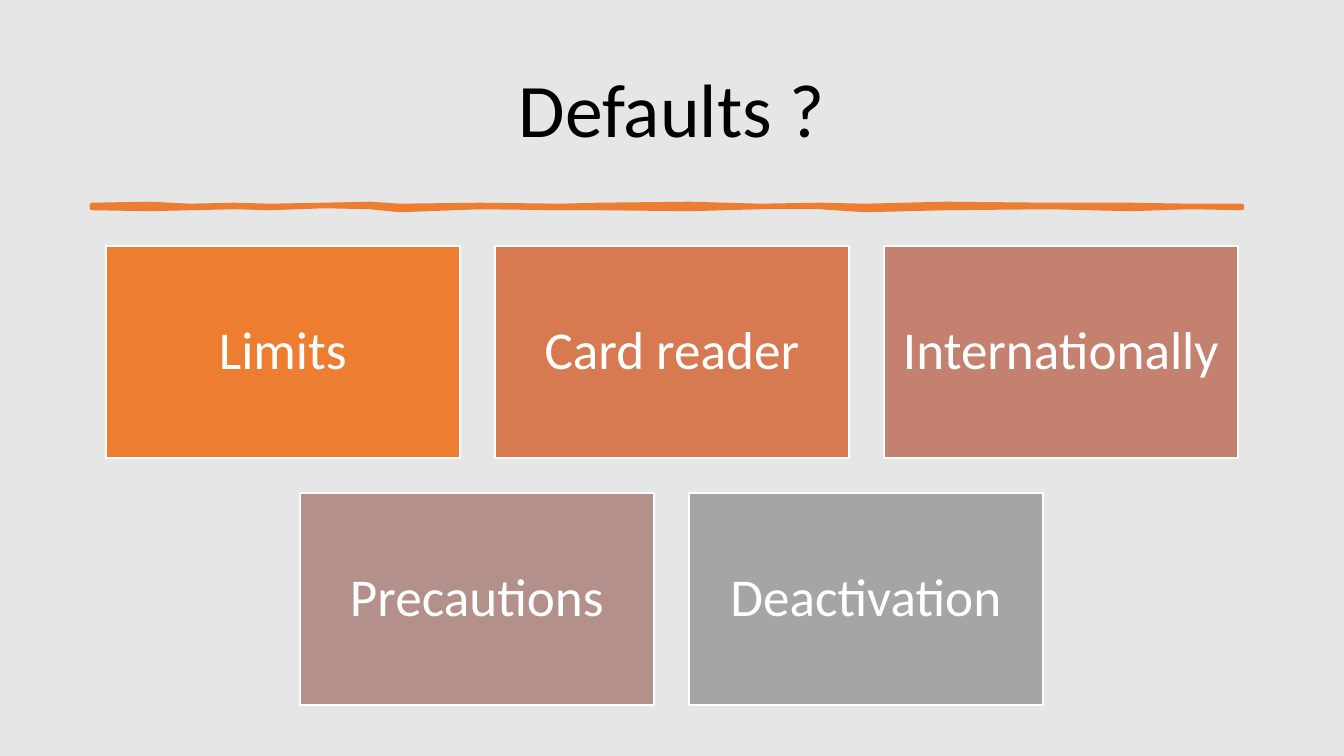
from dataclasses import dataclass

from lxml.etree import SubElement
from pptx import Presentation
from pptx.dml.color import RGBColor
from pptx.enum.shapes import MSO_SHAPE
from pptx.enum.text import MSO_ANCHOR, PP_ALIGN
from pptx.oxml.ns import qn
from pptx.util import Emu, Pt

SLIDE_W, SLIDE_H = 1344, 756
EMU_PER_PX = 12192000 / SLIDE_W


@dataclass(frozen=True)
class Theme:
    font: str = "Calibri"
    background: str = "E7E6E6"
    title: str = "000000"
    accent: str = "ED7D31"
    white: str = "FFFFFF"
    cards: tuple = ("ED7D31", "D87A51", "C48170", "B4908B", "A5A5A5")
    title_size: int = 54
    card_size: int = 38
    rule_width: float = 3.25
    card_border: int = 1


def px(n):
    return Emu(round(n * EMU_PER_PX))


def rgb(color):
    return RGBColor.from_string(color)


class SlideBuilder:
    def __init__(self, prs, theme):
        self.theme = theme
        self.s = prs.slides.add_slide(prs.slide_layouts[6])
        fill = self.s.background.fill
        fill.solid()
        fill.fore_color.rgb = rgb(theme.background)

    def paint(self, sp, fill, line, width):
        sp.shadow.inherit = False
        sp.fill.solid()
        sp.fill.fore_color.rgb = rgb(fill)
        sp.line.color.rgb = rgb(line)
        sp.line.width = Pt(width)

    def add_text(self, sp, text, size, color, inset_x, inset_y):
        tf = sp.text_frame
        tf.word_wrap = True
        tf.vertical_anchor = MSO_ANCHOR.MIDDLE
        tf.margin_left = tf.margin_right = px(inset_x)
        tf.margin_top = tf.margin_bottom = px(inset_y)
        p = tf.paragraphs[0]
        p.alignment = PP_ALIGN.CENTER
        p.line_spacing = 0.9
        r = p.add_run()
        r.text = text
        r.font.name = self.theme.font
        r.font.size = Pt(size)
        r.font.color.rgb = rgb(color)

    def title(self, text, x, y, w, h):
        sp = self.s.shapes.add_textbox(px(x), px(y), px(w), px(h))
        self.add_text(sp, text, self.theme.title_size, self.theme.title, 10, 5)

    def brush_rule(self, edges):
        top = [(x, y) for x, y, _ in edges]
        bottom = [(x, y) for x, _, y in reversed(edges)]
        start, *rest = top + bottom
        fb = self.s.shapes.build_freeform(*start, scale=EMU_PER_PX)
        fb.add_line_segments(rest, close=True)
        sp = fb.convert_to_shape()
        self.paint(sp, self.theme.accent, self.theme.accent, self.theme.rule_width)
        SubElement(sp.element.spPr.find(qn("a:ln")), qn("a:round"))

    def card(self, text, color, x, y, w, h):
        sp = self.s.shapes.add_shape(MSO_SHAPE.RECTANGLE, px(x), px(y), px(w), px(h))
        self.paint(sp, color, self.theme.white, self.theme.card_border)
        self.add_text(sp, text, self.theme.card_size, self.theme.white, 16, 16)


def main():
    prs = Presentation()
    prs.slide_width, prs.slide_height = px(SLIDE_W), px(SLIDE_H)
    theme = Theme()
    slide = SlideBuilder(prs, theme)

    # Title
    slide.title("Defaults ?", 92, 40, 1159, 146)

    # Hand-drawn rule: x, upper edge, lower edge
    slide.brush_rule([
        (92, 205, 208), (150, 204, 209), (190, 206, 208), (235, 205, 207),
        (270, 206, 208), (325, 205, 206), (370, 204, 207), (400, 206, 210),
        (480, 205, 207), (560, 206, 208), (600, 205, 208), (690, 204, 209),
        (760, 206, 207), (820, 205, 207), (865, 206, 210), (945, 204, 208),
        (1050, 205, 207), (1130, 205, 209), (1190, 206, 207), (1242, 206, 208),
    ])

    # Cards: each row is centred on the slide
    card_w, card_h, gap, first_top = 354, 212, 35, 246
    rows = [["Limits", "Card reader", "Internationally"],
            ["Precautions", "Deactivation"]]
    colors = iter(theme.cards)
    for i, row in enumerate(rows):
        row_w = len(row) * (card_w + gap) - gap
        left = (SLIDE_W - row_w) // 2
        top = first_top + i * (card_h + gap)
        for j, label in enumerate(row):
            slide.card(label, next(colors), left + j * (card_w + gap), top,
                       card_w, card_h)

    prs.save("out.pptx")


if __name__ == "__main__":
    main()
